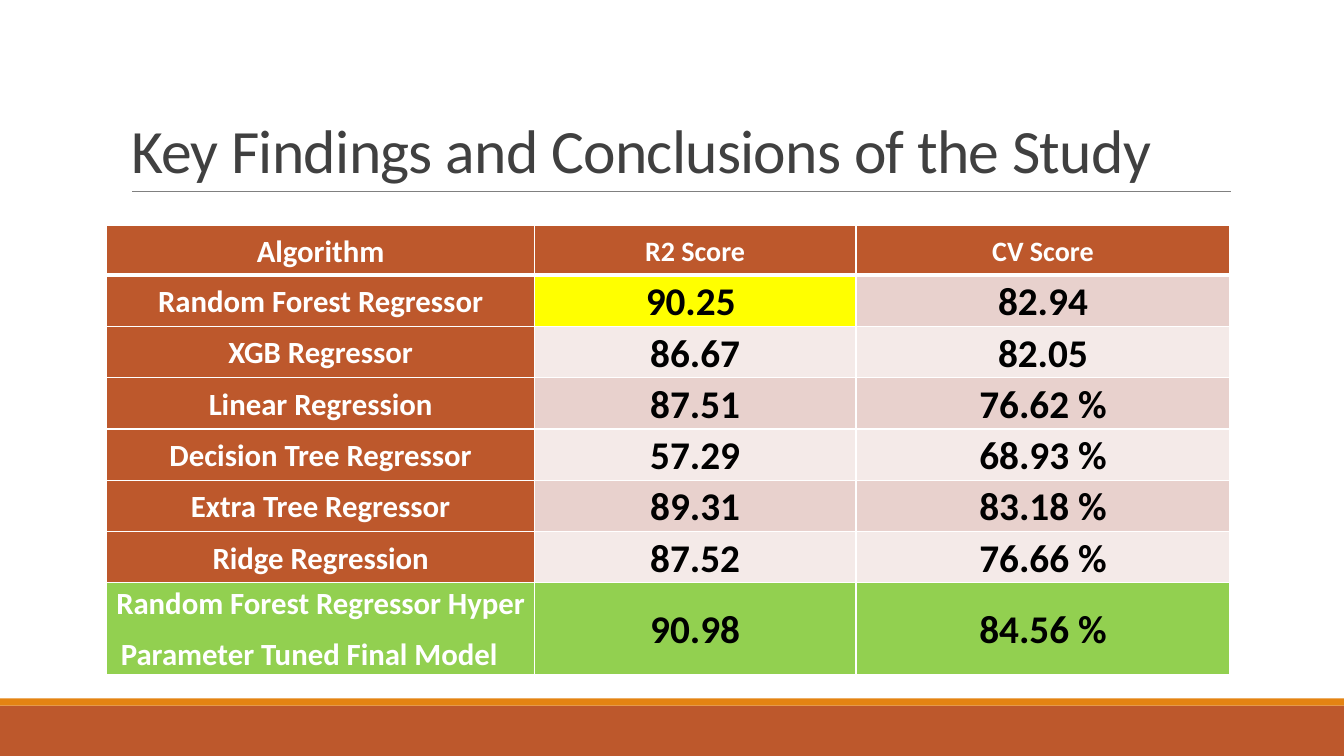
"""Build the slide that compares the scores of the regression models."""
from lxml.etree import SubElement
from pptx import Presentation
from pptx.dml.color import RGBColor
from pptx.enum.shapes import MSO_CONNECTOR, MSO_SHAPE
from pptx.enum.text import MSO_ANCHOR, MSO_AUTO_SIZE, PP_ALIGN
from pptx.oxml.ns import qn
from pptx.util import Inches, Pt

FONT = "Calibri"
COLORS = {
    "rust": "BD582C", "orange": "E48312", "rule": "808080", "title": "404040",
    "white": "FFFFFF", "black": "000000", "yellow": "FFFF00",
    "green": "92D050", "dark": "E8D1CD", "light": "F4EAE8",
}
WIDTHS = (4.24, 3.19, 3.71)
ROW = 0.49
HEADS = ("Algorithm", "R2 Score", "CV Score")
SCORES = (
    ("Random Forest Regressor", "90.25 ", "82.94"),
    ("XGB Regressor", "86.67", "82.05"),
    ("Linear Regression", "87.51", "76.62 %"),
    ("Decision Tree Regressor", "57.29", "68.93 %"),
    ("Extra Tree Regressor", "89.31", "83.18 %"),
    ("Ridge Regression", "87.52", "76.66 %"),
    ("Random Forest Regressor Hyper\n Parameter Tuned Final Model",
     "90.98", "84.56 %"),
)


def color(name):
    return RGBColor.from_string(COLORS[name])


def add_run(para, text, size, tint, bold=False):
    run = para.add_run()
    run.text = text
    run.font.name = FONT
    run.font.size = Pt(size)
    run.font.bold = bold
    run.font.color.rgb = color(tint)
    return run


def add_title(slide, text):
    title = slide.shapes.title
    title.left, title.top = Inches(1.2), Inches(0.31)
    title.width, title.height = Inches(11), Inches(1.59)
    frame = title.text_frame
    frame.word_wrap = True
    frame.auto_size = MSO_AUTO_SIZE.NONE
    frame.vertical_anchor = MSO_ANCHOR.BOTTOM
    para = frame.paragraphs[0]
    para.alignment = PP_ALIGN.LEFT
    para.line_spacing = 0.85
    run = add_run(para, text, 44, "title")
    run.font._element.set("spc", "-50")


def add_band(slide, top, height, tint):
    band = slide.shapes.add_shape(
        MSO_SHAPE.RECTANGLE, 0, Inches(top), Inches(13.33), Inches(height))
    band.shadow.inherit = False
    band.fill.solid()
    band.fill.fore_color.rgb = color(tint)
    band.line.fill.background()


def add_rule(slide, left, right, top):
    rule = slide.shapes.add_connector(
        MSO_CONNECTOR.STRAIGHT, Inches(left), Inches(top),
        Inches(right), Inches(top))
    rule.line.color.rgb = color("rule")
    rule.line.width = Pt(0.5)
    SubElement(rule._element.spPr, qn("a:effectLst"))


def add_edges(cell, row):
    props = cell._tc.get_or_add_tcPr()
    thick = {0: "lnB", 1: "lnT"}.get(row)
    for side in ("lnL", "lnR", "lnT", "lnB"):
        width = Pt(3 if side == thick else 1)
        edge = SubElement(props, qn("a:" + side), w=str(width))
        fill = SubElement(edge, qn("a:solidFill"))
        SubElement(fill, qn("a:srgbClr"), val=COLORS["white"])


def pick_fill(row, col):
    if row == len(SCORES):
        return "green"
    if row == 0 or col == 0:
        return "rust"
    if (row, col) == (1, 1):
        return "yellow"
    return "dark" if row % 2 else "light"


def fill_cell(cell, text, row, col):
    add_edges(cell, row)
    cell.fill.solid()
    cell.fill.fore_color.rgb = color(pick_fill(row, col))
    cell.vertical_anchor = MSO_ANCHOR.MIDDLE
    cell.margin_left = cell.margin_right = Inches(0.07)
    cell.margin_top = cell.margin_bottom = 0
    size = 22 if col == 0 else 20 if row == 0 else 28
    tint = "black" if row and col else "white"
    frame = cell.text_frame
    for index, line in enumerate(text.split("\n")):
        para = frame.add_paragraph() if index else frame.paragraphs[0]
        para.alignment = PP_ALIGN.LEFT if index else PP_ALIGN.CENTER
        para.line_spacing = 1.07
        para.space_after = Pt(8)
        add_run(para, line, size, tint, bold=True)


def add_scores(slide):
    rows = (HEADS,) + SCORES
    table = slide.shapes.add_table(
        len(rows), len(HEADS), Inches(1.06), Inches(2.24),
        Inches(sum(WIDTHS)), Inches(ROW * len(rows))).table
    for column, width in zip(table.columns, WIDTHS):
        column.width = Inches(width)
    for row, texts in enumerate(rows):
        table.rows[row].height = Inches(ROW)
        for col, text in enumerate(texts):
            fill_cell(table.cell(row, col), text, row, col)


def main():
    deck = Presentation()
    deck.slide_width, deck.slide_height = Inches(13.33), Inches(7.5)
    slide = deck.slides.add_slide(deck.slide_layouts[5])
    add_band(slide, 7, 0.5, "rust")
    add_band(slide, 6.93, 0.07, "orange")
    add_rule(slide, 1.31, 12.21, 1.9)
    add_title(slide, "Key Findings and Conclusions of the Study")
    add_scores(slide)
    deck.save("out.pptx")


if __name__ == "__main__":
    main()
